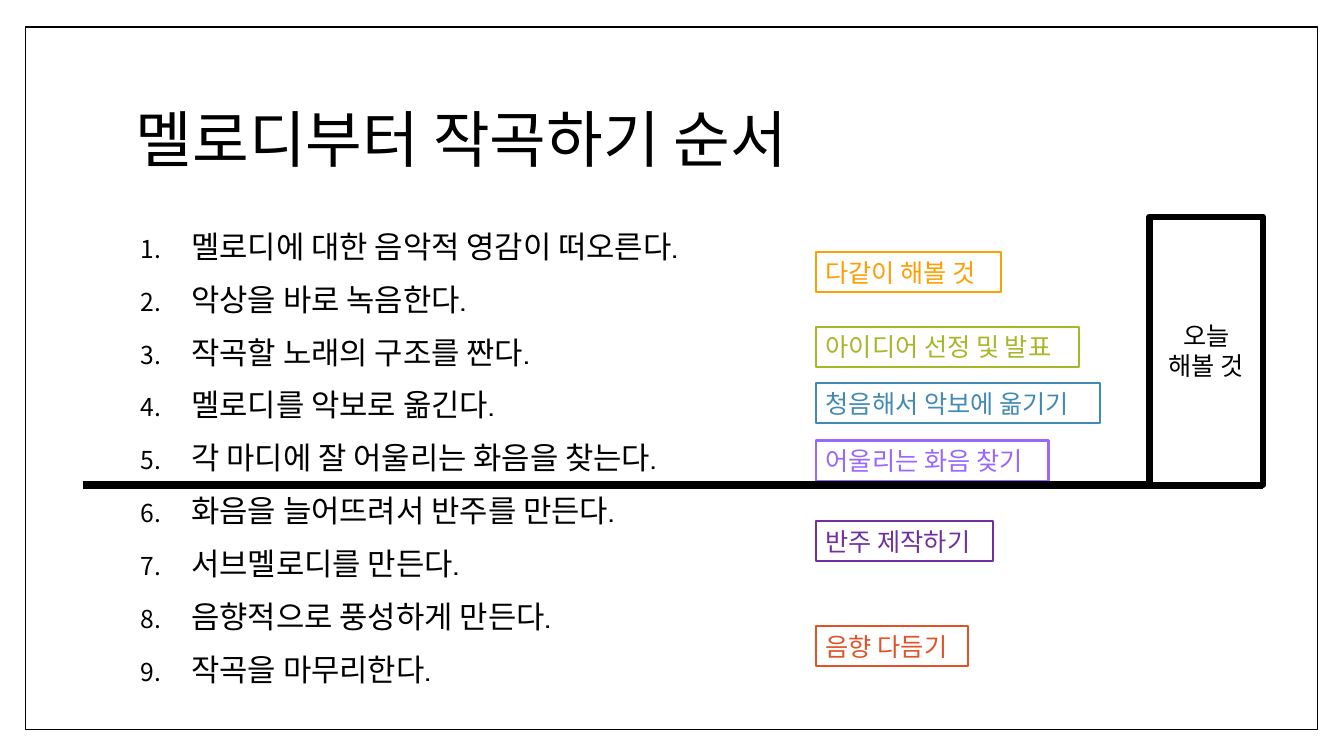
from dataclasses import dataclass

from lxml.etree import SubElement
from pptx import Presentation
from pptx.dml.color import RGBColor
from pptx.enum.shapes import MSO_CONNECTOR as Connector, MSO_SHAPE as Preset
from pptx.enum.text import MSO_ANCHOR as Anchor, PP_ALIGN as Align
from pptx.oxml.ns import qn
from pptx.util import Inches, Pt

FONT = "Cabin"
COLORS = {
    "black": "000000",
    "white": "FFFFFF",
    "orange": "FE9E00",
    "green": "A6B727",
    "blue": "418AB3",
    "violet": "9966FF",
    "purple": "7030A0",
    "red": "DF5327",
}
STEPS = [
    "멜로디에 대한 음악적 영감이 떠오른다.",
    "악상을 바로 녹음한다.",
    "작곡할 노래의 구조를 짠다.",
    "멜로디를 악보로 옮긴다.",
    "각 마디에 잘 어울리는 화음을 찾는다.",
    "화음을 늘어뜨려서 반주를 만든다.",
    "서브멜로디를 만든다.",
    "음향적으로 풍성하게 만든다.",
    "작곡을 마무리한다.",
]


@dataclass
class Label:
    text: str
    top: float
    width: float
    color: str


LABELS = [
    Label("다같이 해볼 것", 2.5, 1.84, "orange"),
    Label("아이디어 선정 및 발표", 3.24, 2.61, "green"),
    Label("청음해서 악보에 옮기기", 3.8, 2.82, "blue"),
    Label("어울리는 화음 찾기", 4.37, 2.31, "violet"),
    Label("반주 제작하기", 5.17, 1.76, "purple"),
    Label("음향 다듬기", 6.21, 1.51, "red"),
]


def rgb(color: str) -> RGBColor:
    return RGBColor.from_string(COLORS[color])


def style_text(frame, size: float, color: str) -> None:
    for para in frame.paragraphs:
        for span in para.runs:
            span.font.name = FONT
            span.font.size = Pt(size)
            span.font.color.rgb = rgb(color)


def add_box(page, left: float, top: float, width: float, height: float,
            color: str, weight: float):
    box = page.shapes.add_shape(Preset.RECTANGLE, Inches(left), Inches(top),
                                Inches(width), Inches(height))
    box.shadow.inherit = False
    box.fill.solid()
    box.fill.fore_color.rgb = rgb("white")
    box.line.color.rgb = rgb(color)
    box.line.width = Pt(weight)
    return box


def add_title(page) -> None:
    box = page.shapes.add_textbox(Inches(1.25), Inches(0.67), Inches(10.8), Inches(1.48))
    frame = box.text_frame
    frame.word_wrap = True
    frame.vertical_anchor = Anchor.MIDDLE
    frame.text = "멜로디부터 작곡하기 순서"
    frame.paragraphs[0].line_spacing = 0.9
    style_text(frame, 44, "black")


def number_paragraph(para) -> None:
    props = para._p.get_or_add_pPr()
    props.set("marL", str(Inches(0.55)))
    props.set("indent", str(Inches(-0.5)))
    bullet_color = SubElement(props, qn("a:buClr"))
    SubElement(bullet_color, qn("a:srgbClr"), val=COLORS["black"])
    SubElement(props, qn("a:buSzPct"), val="80000")
    SubElement(props, qn("a:buFont"), typeface=FONT)
    SubElement(props, qn("a:buAutoNum"), type="arabicPeriod")


def add_steps(page) -> None:
    box = page.shapes.add_textbox(Inches(1.25), Inches(2.25), Inches(10.8), Inches(4.79))
    frame = box.text_frame
    frame.word_wrap = True
    frame.text = "\n".join(STEPS)
    for index, para in enumerate(frame.paragraphs):
        number_paragraph(para)
        para.line_spacing = 0.9
        para.space_before = Pt(14 if index else 0)
    style_text(frame, 22, "black")


def add_label(page, label: Label) -> None:
    box = add_box(page, 8.09, label.top, label.width, 0.4, label.color, 1.5)
    frame = box.text_frame
    frame.word_wrap = True
    frame.vertical_anchor = Anchor.TOP
    frame.text = label.text
    frame.paragraphs[0].alignment = Align.LEFT
    style_text(frame, 18, label.color)


def add_divider(page) -> None:
    divider = page.shapes.add_connector(Connector.STRAIGHT, Inches(0.82), Inches(4.81),
                                        Inches(12.53), Inches(4.81))
    divider.line.color.rgb = rgb("black")
    divider.line.width = Pt(6)
    SubElement(divider._element.spPr, qn("a:effectLst"))


def add_today_box(page) -> None:
    box = add_box(page, 11.4, 2.15, 1.13, 2.66, "black", 4.5)
    SubElement(box.line._ln, qn("a:round"))
    frame = box.text_frame
    frame.word_wrap = True
    frame.vertical_anchor = Anchor.MIDDLE
    frame.text = "오늘 해볼 것"
    frame.paragraphs[0].alignment = Align.CENTER
    style_text(frame, 18, "black")


def main() -> None:
    deck = Presentation()
    deck.slide_width = Inches(13.33)
    deck.slide_height = Inches(7.5)
    page = deck.slides.add_slide(deck.slide_layouts[6])
    add_box(page, 0.25, 0.27, 12.82, 6.97, "black", 1)
    add_title(page)
    add_steps(page)
    for label in LABELS:
        add_label(page, label)
    add_divider(page)
    add_today_box(page)
    deck.save("out.pptx")


if __name__ == "__main__":
    main()
